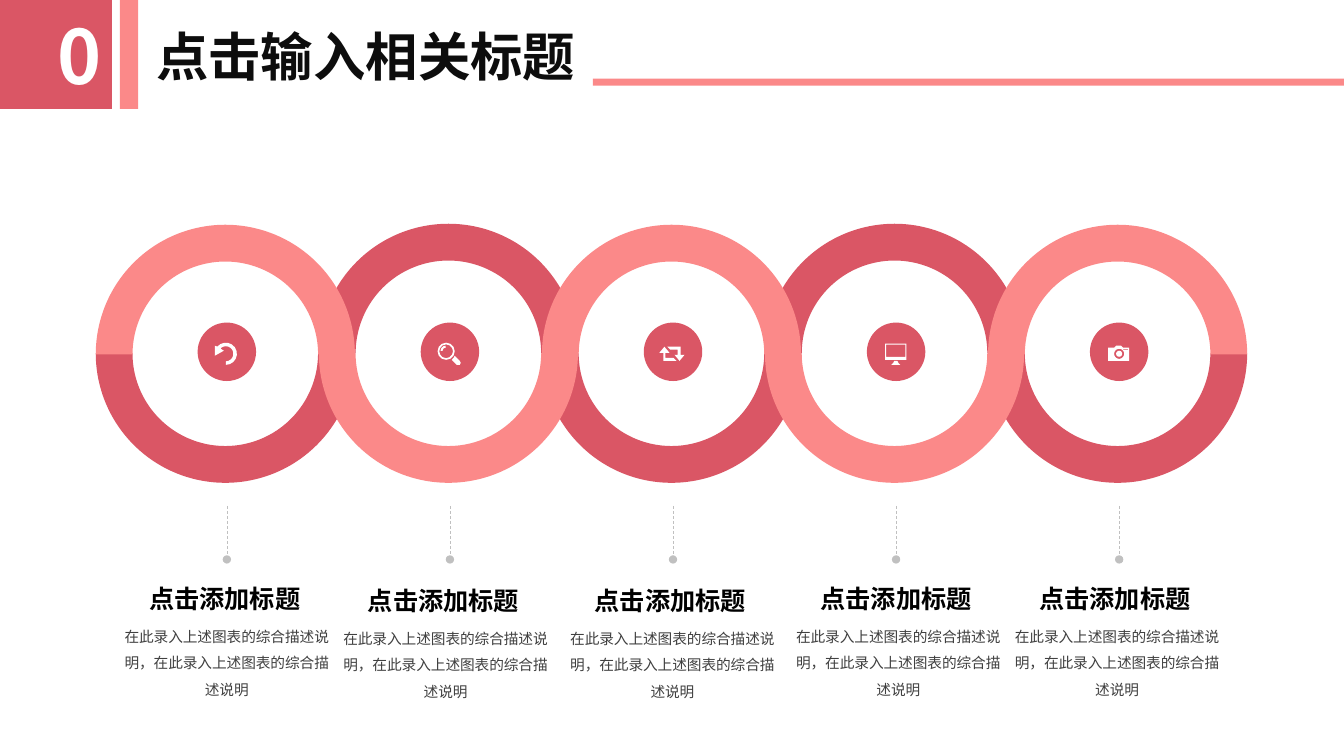
from math import cos, radians, sin

from lxml.etree import SubElement
from pptx import Presentation
from pptx.dml.color import RGBColor
from pptx.enum.dml import MSO_LINE
from pptx.enum.shapes import MSO_CONNECTOR, MSO_SHAPE
from pptx.enum.text import MSO_ANCHOR, PP_ALIGN
from pptx.oxml.ns import qn
from pptx.util import Inches, Pt

FONT = "Noto Sans CJK SC"
COLORS = {
    "rose": "DA5665",
    "pink": "FB8989",
    "white": "FFFFFF",
    "grey": "C0C0C0",
    "title": "0D0D0D",
    "heading": "000000",
    "body": "404040",
}
STEPS = 5
STEP_GAP = 2.2125
RING_SIZE, RING_BAND = 2.57, 0.142
HALF_TURN = 108  # 180 degrees in block arc adjustment units

prs = Presentation()
prs.slide_width, prs.slide_height = Inches(13.33), Inches(7.5)
slide = prs.slides.add_slide(prs.slide_layouts[6])
shapes = slide.shapes


def arc(x, y, radius, start, end):
    """Points along a circle, in degrees clockwise from the right."""
    count = max(3, abs(end - start) // 20)
    angles = [radians(start + (end - start) * n / count) for n in range(count + 1)]
    return [(x + radius * cos(a), y + radius * sin(a)) for a in angles]


def paint(shape, color):
    shape.shadow.inherit = False
    shape.fill.solid()
    shape.fill.fore_color.rgb = RGBColor.from_string(COLORS[color])
    shape.line.fill.background()


# Interlaced rings: the rose halves lie behind the pink wave
presets = []
for color in ("rose", "pink"):
    for step in range(STEPS):
        upper = (step % 2 == 0) == (color == "pink")
        top = 2.23 if upper and color == "pink" else 2.22
        turn = (HALF_TURN, 0) if upper else (0, HALF_TURN)
        presets.append((MSO_SHAPE.BLOCK_ARC, 0.95 + step * STEP_GAP, top,
                        RING_SIZE, RING_SIZE, color, (*turn, RING_BAND)))

# Medallions, header bars, magnifier lens and camera lens
presets += [
    (MSO_SHAPE.OVAL, 1.96 + step * STEP_GAP, 3.2, 0.58, 0.58, "rose", ())
    for step in range(STEPS)
]
presets += [
    (MSO_SHAPE.RECTANGLE, 0, 0, 1.11, 1.08, "rose", ()),
    (MSO_SHAPE.RECTANGLE, 1.19, 0, 0.18, 1.08, "pink", ()),
    (MSO_SHAPE.RECTANGLE, 5.88, 0.78, 7.45, 0.07, "pink", ()),
    (MSO_SHAPE.DONUT, 4.34, 3.4, 0.17, 0.17, "white", (0.1,)),
    (MSO_SHAPE.OVAL, 11.07, 3.48, 0.06, 0.06, "white", ()),
]
for kind, left, top, width, height, color, adjustments in presets:
    preset = shapes.add_shape(kind, Inches(left), Inches(top), Inches(width), Inches(height))
    for index, value in enumerate(adjustments):
        preset.adjustments[index] = value
    paint(preset, color)

# Icons: the first contour is the body, later ones are holes or detached parts
undo = [
    [(2.13, 3.43), (2.13, 3.53), (2.22, 3.48), (2.19, 3.46)]
    + arc(2.24, 3.51, 0.075, 230, 450)
    + arc(2.24, 3.51, 0.11, 450, 220)
]
handle = [[(4.51, 3.53), (4.56, 3.58), (4.57, 3.6), (4.56, 3.62),
           (4.53, 3.62), (4.48, 3.57), (4.5, 3.55)]]
glint = [arc(4.42, 3.48, 0.05, 180, 270) + arc(4.42, 3.48, 0.03, 270, 180)]
repeat_down = [[(6.62, 3.44), (6.75, 3.44), (6.75, 3.52), (6.79, 3.52), (6.74, 3.58),
                (6.69, 3.52), (6.72, 3.52), (6.72, 3.47), (6.65, 3.47)]]
repeat_up = [[(6.59, 3.44), (6.64, 3.5), (6.6, 3.5), (6.6, 3.55), (6.68, 3.55),
              (6.71, 3.58), (6.58, 3.58), (6.58, 3.5), (6.54, 3.5)]]
monitor = [
    [(8.78, 3.41), (8.99, 3.41), (8.99, 3.57), (8.78, 3.57)],
    [(8.79, 3.42), (8.98, 3.42), (8.98, 3.54), (8.79, 3.54)],
    [(8.87, 3.58), (8.9, 3.58), (8.91, 3.6), (8.93, 3.62), (8.84, 3.62), (8.86, 3.6)],
]
camera = [
    [(10.99, 3.45), (11.05, 3.45), (11.07, 3.43), (11.12, 3.43), (11.14, 3.45),
     (11.2, 3.45), (11.2, 3.58), (10.99, 3.58)],
    arc(11.1, 3.51, 0.05, 0, 360),
    [(11.14, 3.46), (11.19, 3.46), (11.19, 3.47), (11.14, 3.47)],
]
for icon in (undo, handle, glint, repeat_down, repeat_up, monitor, camera):
    contours = [[(Inches(x), Inches(y)) for x, y in contour] for contour in icon]
    builder = shapes.build_freeform(*contours[0][0], scale=1.0)
    builder.add_line_segments(contours[0][1:], close=True)
    for contour in contours[1:]:
        builder.move_to(*contour[0])
        builder.add_line_segments(contour[1:], close=True)
    paint(builder.convert_to_shape(), "white")

# Dashed leaders with a dot at the lower end
for step in range(STEPS):
    x = Inches(2.25 + step * STEP_GAP)
    leader = shapes.add_connector(MSO_CONNECTOR.STRAIGHT, x, Inches(5.02), x, Inches(5.55))
    leader.line.color.rgb = RGBColor.from_string(COLORS["grey"])
    leader.line.width = Pt(0.5)
    leader.line.dash_style = MSO_LINE.DASH
    SubElement(leader.line._get_or_add_ln(), qn("a:tailEnd"), type="oval")
    SubElement(leader._element.spPr, qn("a:effectLst"))

# Text: left, top, width, height, words, size, colour, bold, alignment, line spacing
texts = [
    (0.06, 0.05, 1.05, 1, "03", 53.4, "white", True, PP_ALIGN.RIGHT, 1),
    (1.42, 0.24, 6.1, 0.63, "点击输入相关标题", 37.4, "title", True, PP_ALIGN.LEFT, 1),
]
for left, top in ((1.11, 6.09), (3.28, 6.11), (5.53, 6.11), (7.77, 6.09), (9.94, 6.09)):
    texts += [
        (left, top, 2.28, 0.9, "在此录入上述图表的综合描述说明，在此录入上述图表的综合描述说明",
         10.5, "body", False, PP_ALIGN.CENTER, 1.5),
        (left + 0.27, top - 0.5, 1.75, 0.49, "点击添加标题",
         18, "heading", True, PP_ALIGN.JUSTIFY, 1.5),
    ]
for left, top, width, height, words, size, color, bold, align, spacing in texts:
    frame = shapes.add_textbox(
        Inches(left), Inches(top), Inches(width), Inches(height)
    ).text_frame
    frame.word_wrap = color != "white"
    if color == "title":
        frame.vertical_anchor = MSO_ANCHOR.MIDDLE
        frame.margin_left = frame.margin_right = Inches(0.13)
        frame.margin_top = frame.margin_bottom = Inches(0.07)
    frame.text = words
    paragraph = frame.paragraphs[0]
    paragraph.alignment = align
    paragraph.line_spacing = spacing
    font = paragraph.runs[0].font
    font.size = Pt(size)
    font.bold = bold
    font.color.rgb = RGBColor.from_string(COLORS[color])
    font.name = FONT
    SubElement(font._element, qn("a:ea"), typeface=FONT)

prs.save("out.pptx")
